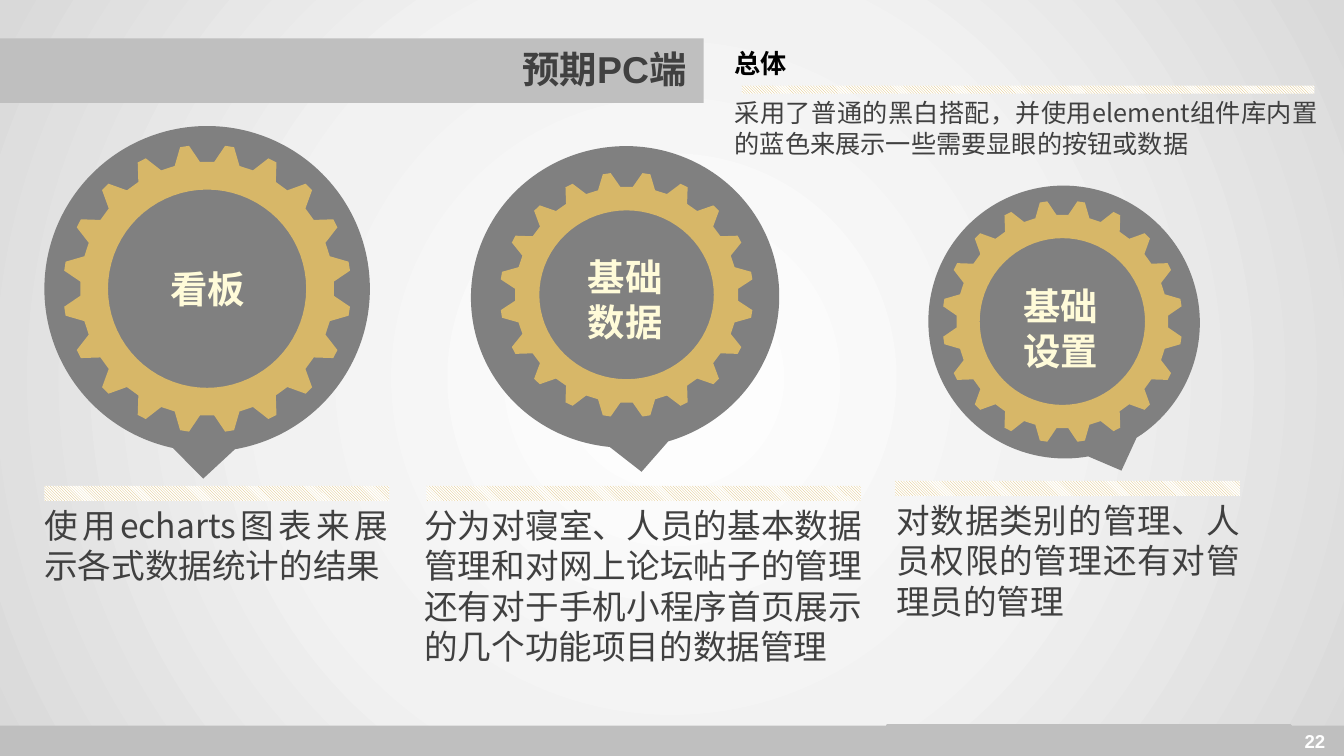
"""Build the slide on the expected PC pages; all boxes are percentages of the slide."""
import math
from dataclasses import dataclass

import lxml.etree
import pptx
import pptx.dml.color
import pptx.enum.dml
import pptx.enum.shapes
import pptx.enum.text
import pptx.oxml
import pptx.oxml.ns
import pptx.shapes.autoshape
import pptx.slide
import pptx.util

SLIDE_WIDTH = pptx.util.Inches(13.333)
SLIDE_HEIGHT = pptx.util.Inches(7.5)
COLOURS = {
    "white": "FFFFFF", "mist": "F2F2F2", "haze": "D9D9D9", "band": "BFBFBF",
    "bubble": "808080", "gold": "D7B768", "cream": "FFFBD9", "ink": "404040", "black": "000000",
}
BACKDROP_STOPS = ((0, "white"), (51, "mist"), (100, "haze"))
CJK_FONT = "Noto Sans CJK SC"
LINE_RATIO = 1.2
TEETH = 20
TOOTH_PROFILE = ((-5.8, 0.89), (-1.8, 1.01), (1.8, 1.01), (5.8, 0.89))
HOLE_SHARE = 0.695
HOLE_STEP = 5
ALIGN = pptx.enum.text.PP_ALIGN
SHAPES = pptx.enum.shapes.MSO_SHAPE


@dataclass(frozen=True)
class Box:
    left: float
    top: float
    width: float
    height: float

    def emu(self) -> tuple[int, int, int, int]:
        return (round(self.left * SLIDE_WIDTH / 100), round(self.top * SLIDE_HEIGHT / 100),
                round(self.width * SLIDE_WIDTH / 100), round(self.height * SLIDE_HEIGHT / 100))


@dataclass(frozen=True)
class Label:
    text: str
    box: Box
    size: float
    colour: str = "ink"
    font: str = "Arial"
    bold: bool = True
    align: ALIGN = ALIGN.CENTER
    wrap: bool = True
    middle: bool = False


@dataclass(frozen=True)
class Topic:
    bubble: Box
    rotation: float
    gear: Box
    name: str
    name_box: Box


@dataclass(frozen=True)
class Note:
    text: str
    box: Box
    stripe: Box
    size: float = 24


BANDS = (Box(0, 5.07, 52.35, 8.53), Box(0, 96, 68.1, 4), Box(95.7, 96, 4.3, 4))
FOOTER_TAB = Box(66, 96, 30, 4)
LABELS = (
    Label("预期PC端", Box(7.5, 4.27, 44.33, 9.73), 26.7, align=ALIGN.RIGHT, middle=True),
    Label("22", Box(95.63, 95.33, 4.43, 5.33), 13.3, "white", wrap=False, middle=True),
    Label("总体", Box(53.93, 5.6, 5.4, 5.6), 18.7, "black", CJK_FONT, align=ALIGN.LEFT, wrap=False),
)
TOPICS = (
    Topic(Box(3.3, 16.67, 24.22, 43.07), 180, Box(4.8, 19.33, 21.22, 37.73),
          "看板", Box(11.25, 34.53, 8.4, 7.33)),
    Topic(Box(35.03, 19.33, 22.95, 39.87), 173.4, Box(37.28, 22.93, 18.68, 32.13),
          "基础数据", Box(42.83, 32.93, 7.35, 13.33)),
    Topic(Box(69.08, 24.53, 20.18, 36.13), 157.7, Box(70.2, 26.67, 17.7, 31.73),
          "基础设置", Box(74.1, 36.8, 9.68, 13.33)),
)
NOTES = (
    Note("使用echarts图表来展示各式数据统计的结果",
         Box(2.55, 66.13, 27.08, 12.13), Box(3.3, 64.27, 25.65, 2)),
    Note("分为对寝室、人员的基本数据管理和对网上论坛帖子的管理还有对于手机小程序首页展示的几个功能项目的数据管理",
         Box(30.83, 66.13, 34.05, 28.27), Box(31.73, 64.27, 32.33, 2)),
    Note("对数据类别的管理、人员权限的管理还有对管理员的管理",
         Box(65.93, 65.47, 27.08, 17.47), Box(66.6, 63.6, 25.65, 2)),
    Note("采用了普通的黑白搭配，并使用element组件库内置的蓝色来展示一些需要显眼的按钮或数据",
         Box(53.93, 12.27, 44.85, 9.47), Box(55.2, 11.33, 42.6, 1.07), 18),
)


def rgb(name: str) -> pptx.dml.color.RGBColor:
    return pptx.dml.color.RGBColor.from_string(COLOURS[name])


def paint(shape: pptx.shapes.autoshape.Shape, colour: str) -> None:
    shape.shadow.inherit = False
    shape.fill.solid()
    shape.fill.fore_color.rgb = rgb(colour)
    shape.line.fill.background()


def add_block(slide: pptx.slide.Slide, box: Box, colour: str,
              kind: SHAPES = SHAPES.RECTANGLE) -> pptx.shapes.autoshape.Shape:
    block = slide.shapes.add_shape(kind, *box.emu())
    paint(block, colour)
    return block


def add_backdrop(slide: pptx.slide.Slide) -> None:
    backdrop = add_block(slide, Box(0, 0, 100, 100), "white")
    stops = "".join(f'<a:gs pos="{share * 1000}"><a:srgbClr val="{COLOURS[name]}"/></a:gs>'
                    for share, name in BACKDROP_STOPS)
    gradient = pptx.oxml.parse_xml(
        f'<a:gradFill {pptx.oxml.ns.nsdecls("a")} rotWithShape="1"><a:gsLst>{stops}</a:gsLst>'
        '<a:path path="circle"><a:fillToRect l="50000" t="50000" r="50000" b="50000"/></a:path>'
        '</a:gradFill>')
    properties = backdrop._element.spPr
    properties.replace(properties.find(pptx.oxml.ns.qn("a:solidFill")), gradient)


def add_label(slide: pptx.slide.Slide, label: Label) -> None:
    frame = slide.shapes.add_textbox(*label.box.emu()).text_frame
    frame.word_wrap = label.wrap
    anchors = pptx.enum.text.MSO_ANCHOR
    frame.vertical_anchor = anchors.MIDDLE if label.middle else anchors.TOP
    paragraph = frame.paragraphs[0]
    paragraph.text = label.text
    paragraph.alignment = label.align
    paragraph.line_spacing = pptx.util.Pt(label.size * LINE_RATIO)
    paragraph.font.size = pptx.util.Pt(label.size)
    paragraph.font.bold = label.bold
    paragraph.font.color.rgb = rgb(label.colour)
    paragraph.font.name = label.font
    defaults = paragraph._p.pPr.find(pptx.oxml.ns.qn("a:defRPr"))
    lxml.etree.SubElement(defaults, pptx.oxml.ns.qn("a:ea"), typeface=CJK_FONT)


def add_gear(slide: pptx.slide.Slide, box: Box) -> None:
    left, top, width, height = box.emu()

    def at(degrees: float, share: float) -> tuple[int, int]:
        angle = math.radians(degrees)
        return (round(left + width / 2 * (1 + share * math.sin(angle))),
                round(top + height / 2 * (1 - share * math.cos(angle))))

    pitch = 360 / TEETH
    rim = [at((tooth + 0.5) * pitch + offset, share)
           for tooth in range(TEETH) for offset, share in TOOTH_PROFILE]
    hole = [at(-degrees, HOLE_SHARE) for degrees in range(0, 360, HOLE_STEP)]
    outline = slide.shapes.build_freeform(*rim[0])
    outline.add_line_segments(rim[1:], close=True)
    outline.move_to(*hole[0])
    outline.add_line_segments(hole[1:], close=True)
    paint(outline.convert_to_shape(), "gold")


def add_topic(slide: pptx.slide.Slide, topic: Topic) -> None:
    bubble = add_block(slide, topic.bubble, "bubble", SHAPES.OVAL_CALLOUT)
    bubble.adjustments[0] = 0.012
    bubble.adjustments[1] = -0.583
    bubble.rotation = topic.rotation
    add_gear(slide, topic.gear)
    add_label(slide, Label(topic.name, topic.name_box, 26.7, "cream"))


def add_note(slide: pptx.slide.Slide, note: Note) -> None:
    add_label(slide, Label(note.text, note.box, note.size, font=CJK_FONT, bold=False,
                           align=ALIGN.JUSTIFY))
    stripe = add_block(slide, note.stripe, "gold")
    stripe.fill.patterned()
    stripe.fill.pattern = pptx.enum.dml.MSO_PATTERN.DARK_DOWNWARD_DIAGONAL
    stripe.fill.fore_color.rgb = rgb("gold")
    stripe.fill.back_color.rgb = rgb("white")


def main() -> None:
    deck = pptx.Presentation()
    deck.slide_width, deck.slide_height = SLIDE_WIDTH, SLIDE_HEIGHT
    slide = deck.slides.add_slide(deck.slide_layouts[6])
    add_backdrop(slide)
    for band in BANDS:
        add_block(slide, band, "band")
    footer_tab = add_block(slide, FOOTER_TAB, "band")
    footer_tab.line.color.rgb = rgb("band")
    footer_tab.line.width = pptx.util.Pt(2)
    for topic in TOPICS:
        add_topic(slide, topic)
    for note in NOTES:
        add_note(slide, note)
    for label in LABELS:
        add_label(slide, label)
    deck.save("out.pptx")


if __name__ == "__main__":
    main()
